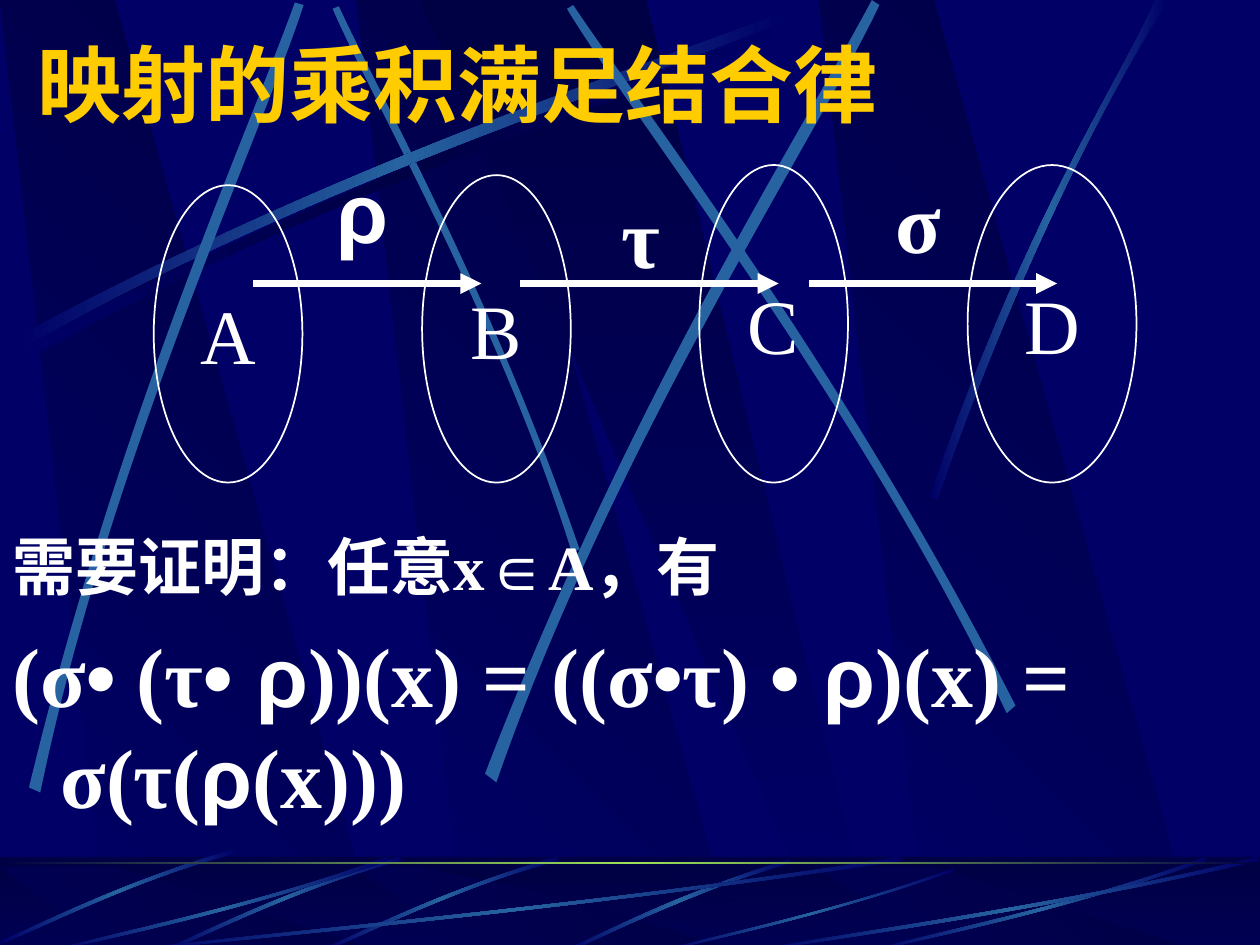
"""Build a slide showing that the product of mappings is associative."""
from dataclasses import dataclass
from typing import NamedTuple

from lxml import etree
from pptx import Presentation
from pptx.dml.color import RGBColor
from pptx.enum.shapes import MSO_CONNECTOR, MSO_SHAPE
from pptx.enum.text import MSO_ANCHOR, MSO_AUTO_SIZE, PP_ALIGN
from pptx.oxml import parse_xml
from pptx.oxml.ns import nsdecls, qn
from pptx.util import Inches, Pt

STRAIGHT = MSO_CONNECTOR.STRAIGHT
ELLIPSE, RECTANGLE = MSO_SHAPE.OVAL, MSO_SHAPE.RECTANGLE
MIDDLE, BOTTOM = MSO_ANCHOR.MIDDLE, MSO_ANCHOR.BOTTOM
NO_FIT = MSO_AUTO_SIZE.NONE
LEFT, CENTER = PP_ALIGN.LEFT, PP_ALIGN.CENTER


@dataclass(frozen=True)
class Theme:
    navy: str = "000066"
    dark: str = "000044"
    streak: str = "2663A0"
    glow: str = "9CE157"
    title: str = "FFCC00"
    text: str = "FFFFFF"
    serif: str = "Times New Roman"
    sans: str = "Arial"
    heading: str = "Montserrat"
    large: int = 48
    letter: int = 44
    claim: int = 36


class Streak(NamedTuple):
    outward: tuple
    back: tuple
    solid: bool = False

    def moved(self, dx, dy=0):
        shift = [tuple((x + dx, y + dy) for x, y in side) for side in self[:2]]
        return Streak(*shift, self.solid)


class MappedSet(NamedTuple):
    name: str
    left: float
    top: float
    width: float = 1.18


class Mapping(NamedTuple):
    symbol: str
    font: str
    label_box: tuple
    start: float
    end: float


THEME = Theme()
BAND_LEFTS = (2.83, 0, 6.5)
FLOOR_BOTTOM = 7.55
SET_BOTTOM = 3.83
ARROW_Y = 2.25

RISING = Streak(((0.14, 2.67), (2.78, 1.25), (5.18, 0.51), (6.2, 0.1)),
                ((6.23, 0.16), (5.22, 0.61), (2.48, 1.43), (0.17, 2.77)))
STREAKS = (
    Streak(((4.6, 4.36), (3.91, 2.34), (3.02, 0.77), (2.69, 0.05)),
           ((2.64, 0.07), (2.95, 0.79), (3.98, 2.58), (4.54, 4.39)), True),
    RISING,
    Streak(((0.23, 6.25), (0.93, 3.34), (1.97, 1.05), (2.34, 0.02)),
           ((2.41, 0.04), (2.07, 1.09), (0.86, 3.68), (0.32, 6.29)), True),
    Streak(((3.85, 6.14), (4.98, 3.2), (6.38, 1.02), (6.92, 0)),
           ((6.98, 0.04), (6.49, 1.08), (4.86, 3.55), (3.94, 6.21)), True),
    Streak(((8.06, 5.6), (6.7, 2.93), (5.16, 0.95), (4.55, 0.04)),
           ((4.5, 0.07), (5.07, 1.01), (6.85, 3.25), (7.99, 5.66)), True),
    Streak(((7.38, 3.94), (8.14, 1.73), (8.88, 0.66), (9.17, 0)),
           ((9.27, 0), (8.36, 1.45), (7.69, 3.22), (7.44, 3.97))),
)
FLOOR_SHORT = Streak(((4.42, 6.8), (3.55, 7.05), (2.87, 7.4), (2.56, 7.53)),
                     ((2.57, 7.55), (2.88, 7.43), (3.65, 7.03), (4.44, 6.83)))
FLOOR_LONG = Streak(((3.08, 6.83), (1.93, 7.23), (0.88, 7.44), (0.43, 7.55)),
                    ((0.42, 7.54), (0.86, 7.41), (2.06, 7.18), (3.07, 6.8)))
FLOOR_STREAKS = (
    Streak(((6.27, 6.82), (5.37, 7.09), (4.77, 7.42), (4.48, 7.54)),
           ((4.53, 7.55), (4.9, 7.37), (5.71, 7), (6.28, 6.85))),
    FLOOR_SHORT, FLOOR_SHORT.moved(-1.25), FLOOR_SHORT.moved(-2.56, -0.06),
    Streak(((7.17, 6.83), (4.49, 7.23), (2.06, 7.44), (1.03, 7.55)),
           ((1, 7.54), (2.02, 7.41), (4.8, 7.18), (7.14, 6.8))),
    FLOOR_LONG,
    Streak(((7.58, 6.91), (6.58, 7.26), (5.67, 7.45), (5.28, 7.55)),
           ((5.27, 7.54), (5.65, 7.43), (6.69, 7.22), (7.57, 6.89))),
    FLOOR_LONG.moved(6.5),
    Streak(((10, 6.83), (8.27, 7.23), (6.69, 7.44), (6.02, 7.55)),
           ((6, 7.54), (6.66, 7.41), (8.46, 7.18), (9.98, 6.8))),
)
SETS = (MappedSet("A", 1.22, 1.47), MappedSet("B", 3.35, 1.39),
        MappedSet("C", 5.55, 1.31), MappedSet("D", 7.68, 1.31, 1.34))
MAPPINGS = (
    Mapping("ρ", THEME.sans, (2.56, 1.31, 0.63, 0.71), 2.01, 3.82),
    Mapping("τ", THEME.serif, (4.61, 1.55, 0.95, 0.63), 4.13, 6.18),
    Mapping("σ", THEME.serif, (6.81, 1.31, 0.95, 0.87), 6.42, 8.39),
)
CLAIM = (("需要证明：任意x∈A，有", THEME.serif),)
EQUATION = (("(σ", THEME.serif), ("•", THEME.sans), (" (τ", THEME.serif),
            ("• ρ", THEME.sans), ("))(x) = ((σ", THEME.serif), ("•", THEME.sans),
            ("τ) ", THEME.serif), ("• ρ", THEME.sans), (")(x) = σ(τ(", THEME.serif),
            ("ρ", THEME.sans), ("(x)))", THEME.serif))


def box(*lengths: float) -> list:
    return [Inches(length) for length in lengths]


def style(font, size: int, color: str, bold: bool = True) -> None:
    font.size, font.bold = Pt(size), bold
    font.color.rgb = RGBColor.from_string(color)


def paint(shape, colors: tuple, angle: int = 0) -> None:
    shape.shadow.inherit = False
    shape.line.fill.background()
    shape.fill.solid()
    shape.fill.fore_color.rgb = RGBColor.from_string(colors[0])
    if len(colors) == 1:
        return
    stops = "".join(
        f'<a:gs pos="{100000 * i // (len(colors) - 1)}"><a:srgbClr val="{color}"/></a:gs>'
        for i, color in enumerate(colors))
    solid = shape.element.spPr.find(qn("a:solidFill"))
    solid.getparent().replace(solid, parse_xml(
        f'<a:gradFill {nsdecls("a")} rotWithShape="1"><a:gsLst>{stops}</a:gsLst>'
        f'<a:lin ang="{angle * 60000}" scaled="1"/></a:gradFill>'))


def draw_outline(shapes, points: tuple, colors: tuple, angle: int = 0):
    corners = [tuple(box(*point)) for point in points]
    builder = shapes.build_freeform(*corners[0])
    builder.add_line_segments(corners[1:], close=False)
    outline = builder.convert_to_shape()
    paint(outline, colors, angle)
    return outline


def draw_streak(shapes, streak: Streak, color: str = THEME.streak,
                edge: str = THEME.navy) -> None:
    colors = (color,) if streak.solid else (edge, color, edge)
    outline = draw_outline(shapes, streak.outward + streak.back, colors)
    segments = list(outline.element.iter(qn("a:lnTo")))
    for controls in (segments[:3], segments[4:7]):
        bend = etree.Element(qn("a:cubicBezTo"))
        controls[0].addprevious(bend)
        for segment in controls:
            bend.append(segment[0])
            segment.getparent().remove(segment)


def draw_bands(shapes, top: float, bottom: float) -> None:
    for x in BAND_LEFTS:
        draw_outline(shapes, ((x + 0.86, bottom), (x + 3.02, bottom),
                              (x + 0.91, top), (x, top)),
                     (THEME.navy, THEME.dark), 315)
    draw_outline(shapes, ((3.33, top), (6.58, bottom), (6.94, bottom), (5.13, top)),
                 (THEME.dark, THEME.navy), 90)


def draw_backdrop(slide) -> None:
    group = slide.shapes.add_group_shape()
    shapes = group.shapes
    draw_bands(shapes, 0, 7.52)
    draw_streak(shapes, RISING.moved(0.06, 0.08), THEME.dark)
    for streak in STREAKS:
        draw_streak(shapes, streak)
    floor = box(0, 6.8, 10, FLOOR_BOTTOM - 6.8)
    paint(shapes.add_shape(RECTANGLE, *floor), (THEME.dark, THEME.navy), 90)
    draw_bands(shapes, 6.88, FLOOR_BOTTOM)
    veil = shapes.add_shape(RECTANGLE, *floor)
    paint(veil, (THEME.dark,))
    veil_color = veil.element.spPr.find(qn("a:solidFill"))[0]
    etree.SubElement(veil_color, qn("a:alpha"), val="50000")
    for streak in FLOOR_STREAKS:
        draw_streak(shapes, streak)
    horizon = shapes.add_shape(RECTANGLE, *box(0, 6.84, 10, 0.02))
    paint(horizon, (THEME.dark, THEME.glow, THEME.dark))
    slide.slide_layout.shapes.element.insert(2, group.element)


def place(holder, bounds: tuple, anchor):
    holder.left, holder.top, holder.width, holder.height = box(*bounds)
    frame = holder.text_frame
    frame.auto_size, frame.vertical_anchor = NO_FIT, anchor
    return frame


def write_line(paragraph, runs: tuple, size: int, space_before: int) -> None:
    properties = paragraph._p.get_or_add_pPr()
    properties.set("marL", str(Inches(0.38)))
    properties.set("indent", str(-Inches(0.38)))
    paragraph.space_before = Pt(space_before)
    etree.SubElement(properties, qn("a:buNone"))
    style(paragraph.font, size, THEME.text)
    for text, font in runs:
        run = paragraph.add_run()
        run.text, run.font.name = text, font


def write_symbol(shape, text: str, font: str, size: int, bold: bool) -> None:
    frame = shape.text_frame
    frame.word_wrap, frame.vertical_anchor = False, MIDDLE
    paragraph = frame.paragraphs[0]
    paragraph.text, paragraph.alignment = text, CENTER
    paragraph.font.name = font
    style(paragraph.font, size, THEME.text, bold)


def draw_set(shapes, item: MappedSet) -> None:
    oval = shapes.add_shape(ELLIPSE, *box(item.left, item.top, item.width,
                                          SET_BOTTOM - item.top))
    oval.shadow.inherit = False
    oval.fill.background()
    oval.line.color.rgb = RGBColor.from_string(THEME.text)
    oval.line.width = Pt(1)
    write_symbol(oval, item.name, THEME.serif, THEME.letter, False)


def draw_mapping(shapes, mapping: Mapping) -> None:
    arrow = shapes.add_connector(STRAIGHT, *box(mapping.start, ARROW_Y,
                                                mapping.end, ARROW_Y))
    arrow.line.color.rgb = RGBColor.from_string(THEME.text)
    arrow.line.width = Pt(4)
    etree.SubElement(arrow.line._get_or_add_ln(), qn("a:tailEnd"), type="triangle")
    etree.SubElement(arrow.element.spPr, qn("a:effectLst"))
    label = shapes.add_textbox(*box(*mapping.label_box))
    write_symbol(label, mapping.symbol, mapping.font, THEME.large, True)


def main() -> None:
    deck = Presentation()
    deck.slide_width, deck.slide_height = box(10, 7.5)
    slide = deck.slides.add_slide(deck.slide_layouts[1])
    slide.background.fill.solid()
    slide.background.fill.fore_color.rgb = RGBColor.from_string(THEME.navy)
    draw_backdrop(slide)

    heading = place(slide.shapes.title, (0.2, 0.21, 8.5, 0.9), MIDDLE).paragraphs[0]
    heading.text, heading.alignment = "映射的乘积满足结合律", LEFT
    heading.font.name = THEME.heading
    style(heading.font, THEME.large, THEME.title)

    proof = place(slide.placeholders[1], (0, 1.23, 9.67, 5.37), BOTTOM)
    write_line(proof.paragraphs[0], CLAIM, THEME.claim, 0)
    write_line(proof.add_paragraph(), EQUATION, THEME.large, 12)

    for item in SETS:
        draw_set(slide.shapes, item)
    for mapping in MAPPINGS:
        draw_mapping(slide.shapes, mapping)
    deck.save("out.pptx")


if __name__ == "__main__":
    main()
